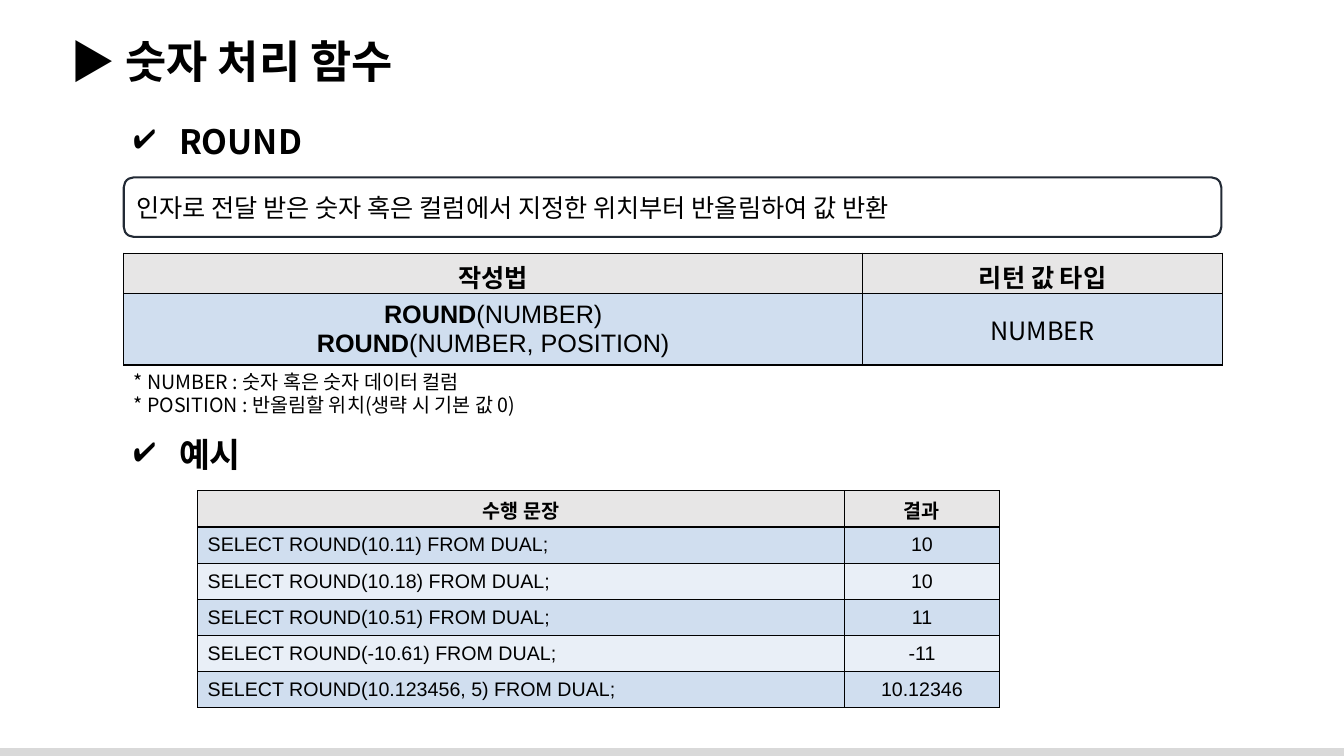
"""Build the slide that explains the ROUND number function."""
from lxml.etree import SubElement
from pptx import Presentation
from pptx.dml.color import RGBColor
from pptx.enum.shapes import MSO_SHAPE as Shape
from pptx.enum.text import MSO_ANCHOR as Anchor, PP_ALIGN as Align
from pptx.oxml.ns import qn
from pptx.util import Cm, Pt

COLORS = {"ink": "000000", "outline": "222A35", "footer": "D9D9D9",
          "header": "E7E6E6", "band": "D0DEEF", "light": "E9EFF7"}
KOREAN = "Noto Sans CJK KR"


def style(paragraph, size, bold=False, face=KOREAN, align=Align.LEFT):
    paragraph.alignment = align
    font = paragraph.font
    font.size, font.bold, font.name = Pt(size), bold, face
    font.color.rgb = RGBColor.from_string(COLORS["ink"])
    east_asian = SubElement(font._element, qn("a:ea"))
    east_asian.set("typeface", KOREAN)


def finish_cell(cell, color):
    cell.fill.solid()
    cell.fill.fore_color.rgb = RGBColor.from_string(COLORS[color])
    cell.vertical_anchor = Anchor.MIDDLE
    properties = cell._tc.get_or_add_tcPr()
    for index, side in enumerate(("lnL", "lnR", "lnT", "lnB")):
        border = properties.makeelement(qn(f"a:{side}"), {"w": str(Pt(1))})
        fill = SubElement(border, qn("a:solidFill"))
        SubElement(fill, qn("a:srgbClr")).set("val", COLORS["ink"])
        properties.insert(index, border)


deck = Presentation()
deck.slide_width, deck.slide_height = Cm(33.87), Cm(19.05)
slide = deck.slides.add_slide(deck.slide_layouts[5])
shapes = slide.shapes

footer = shapes.add_shape(Shape.RECTANGLE, 0, Cm(18.85), deck.slide_width, Cm(0.2))
footer.shadow.inherit = False
footer.fill.solid()
footer.fill.fore_color.rgb = RGBColor.from_string(COLORS["footer"])
footer.line.fill.background()

title = shapes.title
title.left, title.top, title.width, title.height = Cm(1.52), Cm(0.71), Cm(32), Cm(1.62)
title.text_frame.text = "▶ 숫자 처리 함수"
title.text_frame.vertical_anchor = Anchor.TOP
style(title.text_frame.paragraphs[0], 32, bold=True)

for heading, top, width in (("ROUND", 2.92, 4.93), ("예시", 10.8, 3.48)):
    section = shapes.add_textbox(Cm(3.12), Cm(top), Cm(width), Cm(1.27)).text_frame
    section.word_wrap = True
    section.text = f" {heading}"
    paragraph = section.paragraphs[0]
    indents = paragraph._p.get_or_add_pPr()
    indents.set("marL", str(Cm(0.95)))
    indents.set("indent", str(Cm(-0.95)))
    SubElement(indents, qn("a:buChar")).set("char", "✔")
    style(paragraph, 24, bold=True)

summary = shapes.add_shape(Shape.ROUNDED_RECTANGLE, Cm(3.12), Cm(4.47), Cm(27.66), Cm(1.5))
summary.shadow.inherit = False
summary.fill.background()
summary.line.color.rgb = RGBColor.from_string(COLORS["outline"])
summary.line.width = Pt(1.5)
summary.text_frame.text = "인자로 전달 받은 숫자 혹은 컬럼에서 지정한 위치부터 반올림하여 값 반환"
summary.text_frame.vertical_anchor = Anchor.MIDDLE
style(summary.text_frame.paragraphs[0], 18)

syntax = shapes.add_table(2, 2, Cm(3.12), Cm(6.38), Cm(27.69), Cm(2.8)).table
syntax.columns[0].width, syntax.columns[1].width = Cm(18.62), Cm(9.07)
syntax.rows[0].height, syntax.rows[1].height = Cm(1), Cm(1.8)
for column, label in enumerate(("작성법", "리턴 값 타입")):
    cell = syntax.cell(0, column)
    cell.text = label
    style(cell.text_frame.paragraphs[0], 18, bold=True, align=Align.CENTER)
    finish_cell(cell, "header")

calls = syntax.cell(1, 0)
calls.text = "\n".join(["ROUND"] * 2)
for paragraph, arguments in zip(calls.text_frame.paragraphs, ("(NUMBER)", "(NUMBER, POSITION)")):
    paragraph.runs[0].font.bold = True
    paragraph.add_run().text = arguments
    style(paragraph, 18, face="Arial", align=Align.CENTER)
finish_cell(calls, "band")

return_type = syntax.cell(1, 1)
return_type.text = "NUMBER"
style(return_type.text_frame.paragraphs[0], 18, align=Align.CENTER)
finish_cell(return_type, "band")

notes = shapes.add_textbox(Cm(3.12), Cm(9.19), Cm(11.1), Cm(1.45)).text_frame
notes.word_wrap = True
notes.text = "* NUMBER : 숫자 혹은 숫자 데이터 컬럼\n* POSITION : 반올림할 위치(생략 시 기본 값 0)"
for paragraph in notes.paragraphs:
    style(paragraph, 14)

example_rows = [("수행 문장", "결과")] + [
    (f"SELECT ROUND({arguments}) FROM DUAL;", result)
    for arguments, result in (("10.11", "10"), ("10.18", "10"), ("10.51", "11"),
                              ("-10.61", "-11"), ("10.123456, 5", "10.12346"))]
examples = shapes.add_table(len(example_rows), 2, Cm(4.98), Cm(12.37), Cm(20.2), Cm(5.46)).table
examples.columns[0].width, examples.columns[1].width = Cm(16.31), Cm(3.89)
for row, values in enumerate(example_rows):
    examples.rows[row].height = Cm(0.91)
    color = "header" if row == 0 else ("light", "band")[row % 2]
    for column, value in enumerate(values):
        cell = examples.cell(row, column)
        cell.text = value
        align = Align.LEFT if row and column == 0 else Align.CENTER
        style(cell.text_frame.paragraphs[0], 14, row == 0, "Arial", align)
        finish_cell(cell, color)

deck.save("out.pptx")
